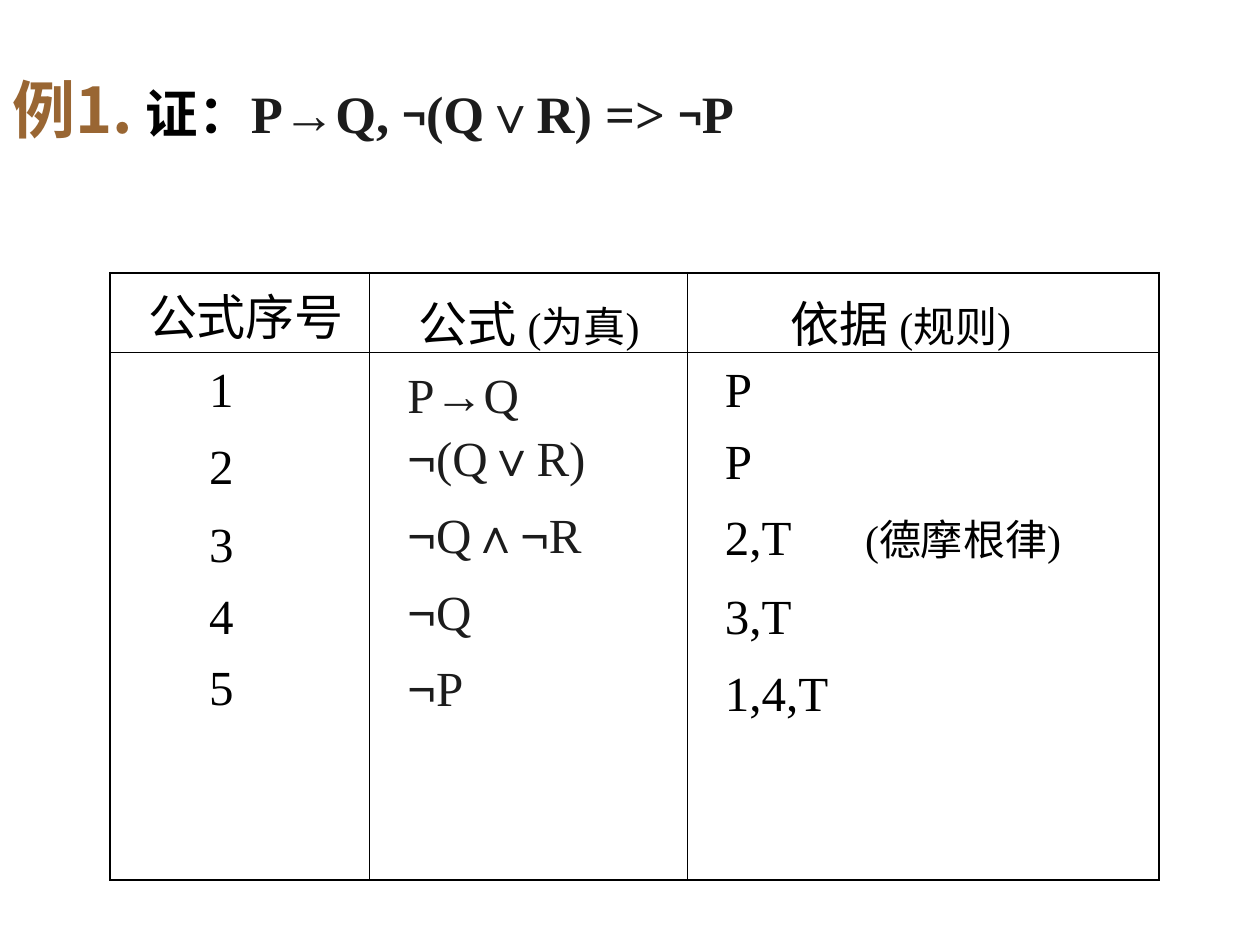
"""Build a slide with a propositional proof laid out as a table."""

from itertools import groupby

from lxml.etree import SubElement
from pptx import Presentation
from pptx.dml.color import RGBColor
from pptx.oxml import parse_xml
from pptx.oxml.ns import nsdecls, qn
from pptx.util import Cm, Pt

COLORS = {"label": "996633", "text": "000000", "formula": "1C1C1C"}
SERIF, SANS, CHINESE = "Times New Roman", "Arial", "Noto Sans CJK SC"
SYMBOLS = "¬→"

TITLE_LABELS = [("例1.", 36, "label"), (" ", 32, "text"), ("证：", 30, "text")]
TITLE_FORMULA = "P→Q, ¬(Q∨R) => ¬P"

HEADERS = [
    ("公式序号", "", 0.51, None),
    ("公式 ", "(为真)", 0.74, 1.1),
    ("依据 ", "(规则)", 1.83, 1.1),
]
STEPS = [
    ("1", "P→Q", "P", ""),
    ("2", "¬(Q∨R)", "P", ""),
    ("3", "¬Q∧¬R", "2,T", "(德摩根律)"),
    ("4", "¬Q", "3,T", ""),
    ("5", "¬P", "1,4,T", ""),
]
LINE_SPACING = [
    (1.1, 1.2, 1.2, 1.1, 1.1),
    (1.2, 0.9, 1.2, 1.4, 1.4),
    (1.1, 1.1, 1.1, 1.2, 1.2),
]
SPACE_BEFORE = [(0, 7, 7, 7, 7), (0, 7, 7, 0, 0), (0, 7, 6, 7, 7)]
BODY_INDENTS = (1.74, 0.51, 0.51)
NOTE_GAP = 35
COLUMN_WIDTHS = (5.23, 6.4, 9.51)
ROW_HEIGHTS = (1.6, 10.64)
OUTER_LINE, INNER_LINE = 1.08, 0.45


def add_run(paragraph, text, size, color, font=SERIF, bold=False):
    run = paragraph.add_run()
    run.text = text
    run.font.size = Pt(size)
    run.font.bold = bold
    run.font.color.rgb = RGBColor.from_string(COLORS[color])
    run.font.name = font
    properties = run._r.get_or_add_rPr()
    SubElement(properties, qn("a:ea")).set("typeface", CHINESE)
    return properties


def add_formula(paragraph, formula, size, negation_size=None, bold=False):
    for symbol, group in groupby(formula, lambda c: c if c in SYMBOLS else ""):
        raised = symbol == "¬" and negation_size
        properties = add_run(paragraph, "".join(group),
                             negation_size if raised else size,
                             "formula", SANS if symbol else SERIF, bold)
        if raised:
            properties.set("baseline", "6000")


def format_paragraph(paragraph, indent, spacing, before=0):
    properties = paragraph._p.get_or_add_pPr()
    properties.set("marL", str(Cm(indent)))
    properties.set("indent", "0")
    if spacing:
        paragraph.line_spacing = spacing
    if before:
        paragraph.space_before = Pt(before)


def draw_borders(cell, row, column):
    outer_sides = {
        "lnL": column == 0,
        "lnR": column == len(COLUMN_WIDTHS) - 1,
        "lnT": row == 0,
        "lnB": row == len(ROW_HEIGHTS) - 1,
    }
    properties = cell._tc.get_or_add_tcPr()
    for position, (side, outer) in enumerate(outer_sides.items()):
        width = Pt(OUTER_LINE if outer else INNER_LINE)
        properties.insert(position, parse_xml(
            f'<a:{side} {nsdecls("a")} w="{width}"><a:solidFill>'
            f'<a:srgbClr val="{COLORS["text"]}"/></a:solidFill></a:{side}>'))


def add_title(slide):
    box = slide.shapes.add_textbox(Cm(0), Cm(0.64), Cm(25.4), Cm(2.46))
    box.text_frame.word_wrap = True
    paragraph = box.text_frame.paragraphs[0]
    paragraph.line_spacing = 1.3
    for text, size, color in TITLE_LABELS:
        add_run(paragraph, text, size, color, CHINESE, bold=True)
    add_formula(paragraph, TITLE_FORMULA, 30, negation_size=40, bold=True)


def fill_header(cell, text, note, indent, spacing):
    cell.margin_right = Cm(0)
    paragraph = cell.text_frame.paragraphs[0]
    format_paragraph(paragraph, indent, spacing)
    add_run(paragraph, text, 28, "text")
    if note:
        add_run(paragraph, note, 24, "text")


def fill_steps(cell, column):
    frame = cell.text_frame
    for index, step in enumerate(STEPS):
        paragraph = frame.add_paragraph() if index else frame.paragraphs[0]
        format_paragraph(paragraph, BODY_INDENTS[column],
                         LINE_SPACING[column][index],
                         SPACE_BEFORE[column][index])
        if column == 1:
            add_formula(paragraph, step[column], 28)
        else:
            add_run(paragraph, step[column], 28, "text")
        if column == 2 and step[3]:
            add_run(paragraph, " ", 28, "text").set("spc", str(NOTE_GAP * 100))
            add_run(paragraph, step[3], 24, "text")


def add_proof_table(slide):
    table = slide.shapes.add_table(
        len(ROW_HEIGHTS), len(COLUMN_WIDTHS), Cm(2.22), Cm(5.5),
        Cm(sum(COLUMN_WIDTHS)), Cm(sum(ROW_HEIGHTS))).table
    table.first_row = table.horz_banding = False
    for row, height in enumerate(ROW_HEIGHTS):
        table.rows[row].height = Cm(height)
    for column, width in enumerate(COLUMN_WIDTHS):
        table.columns[column].width = Cm(width)
        fill_header(table.cell(0, column), *HEADERS[column])
        fill_steps(table.cell(1, column), column)
        for row in range(len(ROW_HEIGHTS)):
            cell = table.cell(row, column)
            cell.fill.background()
            draw_borders(cell, row, column)


def main():
    presentation = Presentation()
    presentation.slide_width, presentation.slide_height = Cm(25.4), Cm(19.05)
    slide = presentation.slides.add_slide(presentation.slide_layouts[6])
    add_title(slide)
    add_proof_table(slide)
    presentation.save("out.pptx")


if __name__ == "__main__":
    main()
